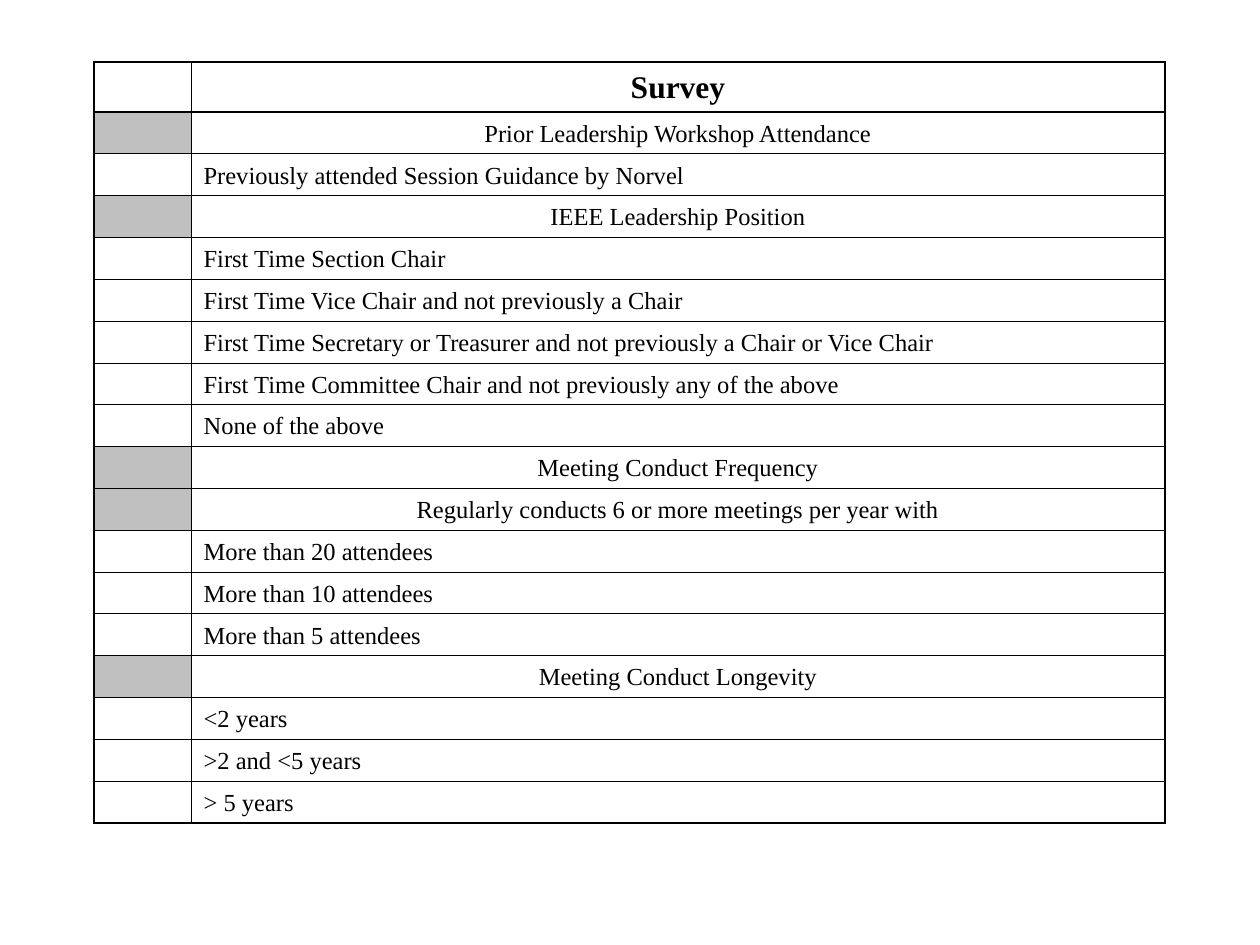
"""Build a one-slide leadership survey table."""
import pptx
import pptx.dml.color
import pptx.enum.text
import pptx.oxml.ns
import pptx.util
from lxml import etree

TITLE = "Survey"
PARTS = [
    (["Prior Leadership Workshop Attendance"],
     ["Previously attended Session Guidance by Norvel"]),
    (["IEEE Leadership Position"],
     ["First Time Section Chair",
      "First Time Vice Chair and not previously a Chair",
      "First Time Secretary or Treasurer and not previously a Chair or Vice Chair",
      "First Time Committee Chair and not previously any of the above",
      "None of the above"]),
    (["Meeting Conduct Frequency",
      "Regularly conducts 6 or more meetings per year with"],
     ["More than 20 attendees", "More than 10 attendees",
      "More than 5 attendees"]),
    (["Meeting Conduct Longevity"],
     ["<2 years", ">2 and <5 years", "> 5 years"]),
]
FONT, BLACK, GREY = "Times New Roman", "000000", "C0C0C0"
LEFT, TOP, WIDE, MARK = 94, 62, 1071, 97
HEAD, BODY = 50, 711
INCH, INDENT = 126, 48
THICK, THIN = 0.96, 0.45
ALIGN = pptx.enum.text.PP_ALIGN


def px(count):
    return round(count * 914400 / INCH)


def color(code):
    return pptx.dml.color.RGBColor.from_string(code)


def add(parent, tag, **attrs):
    name = pptx.oxml.ns.qn("a:" + tag)
    return etree.SubElement(parent, name, {k: str(v) for k, v in attrs.items()})


def write(cell, text, size=14, bold=False, align=ALIGN.LEFT):
    cell.vertical_anchor = pptx.enum.text.MSO_ANCHOR.BOTTOM
    para = cell.text_frame.paragraphs[0]
    if not text:
        end = add(para._p, "endParaRPr", sz=size * 100)
        add(end, "latin", typeface=FONT)
        return
    para.alignment = align
    props = para._p.get_or_add_pPr()
    props.set("marL", str(px(INDENT)))
    props.set("indent", str(-px(INDENT)))
    tabs = add(props, "tabLst")
    for stop in range(8):
        add(tabs, "tab", pos=px(stop * INCH), algn="l")
    run = para.add_run()
    run.text = text
    run.font.name, run.font.size = FONT, pptx.util.Pt(size)
    run.font.bold = bold
    run.font.color.rgb = color(BLACK)


def border(cell, **sides):
    props = cell._tc.get_or_add_tcPr()
    for side in "LRTB":
        line = add(props, "ln" + side, w=pptx.util.Pt(sides[side]))
        add(add(line, "solidFill"), "srgbClr", val=BLACK)


def main():
    deck = pptx.Presentation()
    deck.slide_width, deck.slide_height = px(1260), px(945)
    slide = deck.slides.add_slide(deck.slide_layouts[6])

    rows = [(TITLE, "title", True, True)]
    for heads, items in PARTS:
        last = len(heads) + len(items) - 1
        for i, text in enumerate(heads + items):
            kind = "head" if i < len(heads) else "item"
            rows.append((text, kind, i == 0, i == last))

    table = slide.shapes.add_table(
        len(rows), 2, px(LEFT), px(TOP), px(WIDE), px(HEAD + BODY)).table
    table.first_row = table.horz_banding = False
    table.columns[0].width = px(MARK)
    table.columns[1].width = px(WIDE - MARK)

    for i, (text, kind, first, last) in enumerate(rows):
        title = kind == "title"
        table.rows[i].height = px(HEAD if title else BODY / (len(rows) - 1))
        mark, label = table.cell(i, 0), table.cell(i, 1)
        edges = {"T": THICK if first else THIN, "B": THICK if last else THIN}
        border(mark, L=THICK, R=THIN, **edges)
        border(label, L=THIN, R=THICK, **edges)
        label.fill.background()
        if kind == "head":
            mark.fill.solid()
            mark.fill.fore_color.rgb = color(GREY)
        else:
            mark.fill.background()
        write(mark, "")
        write(label, text, size=18 if title else 14, bold=title,
              align=ALIGN.LEFT if kind == "item" else ALIGN.CENTER)

    deck.save("out.pptx")


if __name__ == "__main__":
    main()
